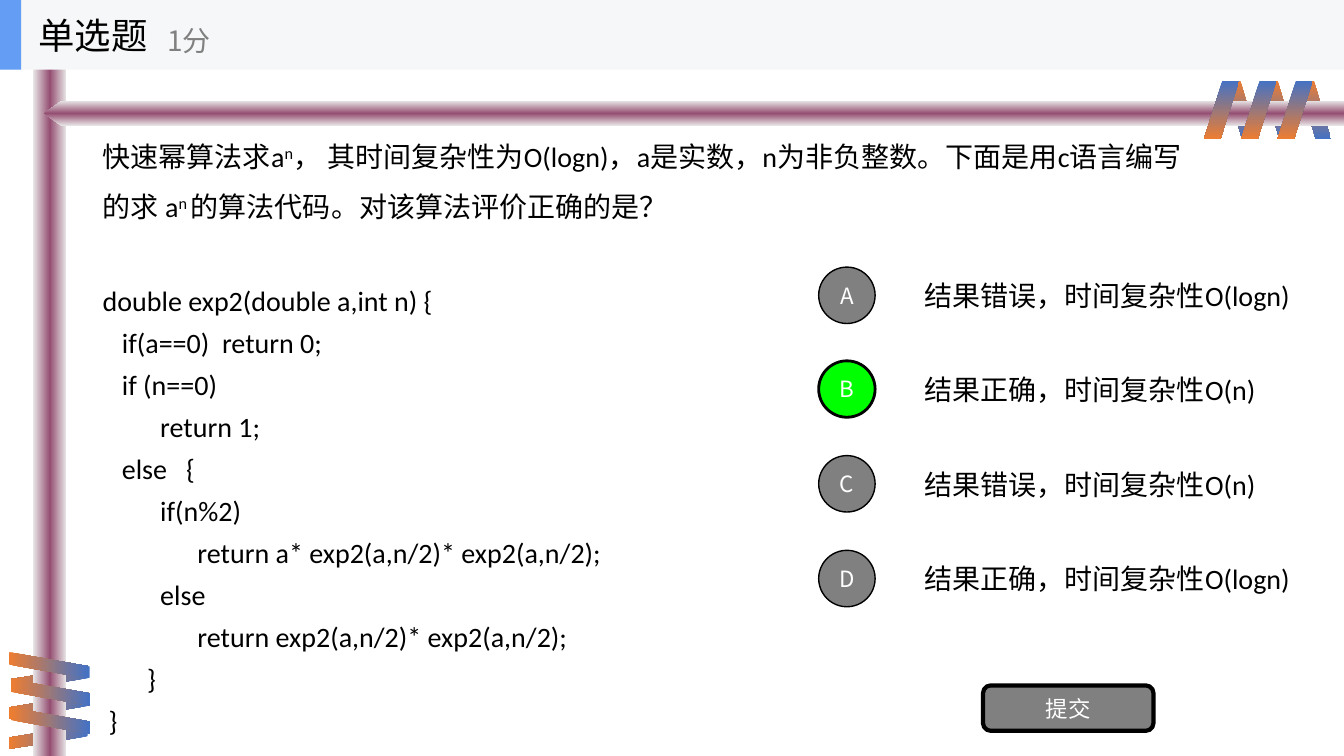
"""Build a single-choice quiz slide about the complexity of fast exponentiation."""
from pptx import Presentation
from pptx.dml.color import RGBColor
from pptx.enum.shapes import MSO_SHAPE
from pptx.enum.text import MSO_ANCHOR, MSO_AUTO_SIZE, PP_ALIGN
from pptx.oxml import parse_xml
from pptx.oxml.ns import nsdecls, qn
from pptx.util import Pt
from lxml.etree import SubElement

PX = 9144
COLORS = {
    "black": "000000", "white": "FFFFFF", "gray": "808080", "green": "00FF00",
    "blue": "4472C4", "orange": "ED7D31", "silver": "E7E6E6", "plum": "954F72",
    "header": "F6F7F8", "accent": "639EF4",
}
CJK_FONT = "Noto Sans CJK SC"
TEXT_FONT = "Calibri"


def add_block(kind, box, colors, angle=0, rotation=0, flip=False, adjustment=None):
    shape = slide.shapes.add_shape(kind, *[length * PX for length in box])
    shape.shadow.inherit = False
    shape.line.fill.background()
    shape.rotation = rotation
    if flip:
        shape._element.spPr.find(qn("a:xfrm")).set("flipH", "1")
    if adjustment is not None:
        shape.adjustments[0] = adjustment
    if len(colors) == 1:
        shape.fill.solid()
        shape.fill.fore_color.rgb = RGBColor.from_string(COLORS[colors[0]])
    else:
        stops = "".join(
            f'<a:gs pos="{100000 * index // (len(colors) - 1)}"><a:srgbClr val="{COLORS[name]}"/></a:gs>'
            for index, name in enumerate(colors))
        gradient = parse_xml(
            f'<a:gradFill {nsdecls("a")} rotWithShape="0"><a:gsLst>{stops}</a:gsLst>'
            f'<a:lin ang="{angle * 60000}" scaled="0"/></a:gradFill>')
        shape._element.spPr.find(qn("a:prstGeom")).addnext(gradient)
    return shape


def format_text(shape, size, font, color, alignment=PP_ALIGN.LEFT):
    frame = shape.text_frame
    frame.word_wrap = True
    frame.auto_size = MSO_AUTO_SIZE.NONE
    frame.vertical_anchor = MSO_ANCHOR.MIDDLE
    for paragraph in frame.paragraphs:
        paragraph.alignment = alignment
        for run in paragraph.runs:
            run.font.size = Pt(size)
            run.font.name = font
            run.font.color.rgb = RGBColor.from_string(COLORS[color])
            SubElement(run.font._element, qn("a:ea")).set("typeface", CJK_FONT)


presentation = Presentation()
presentation.slide_width = 1333 * PX
presentation.slide_height = 750 * PX
slide = presentation.slides.add_slide(presentation.slide_layouts[5])

RAIL = ("silver", "plum", "silver")
WARM, COOL = ("orange", "blue"), ("blue", "orange")
COIL = MSO_SHAPE.PARALLELOGRAM
for left, top in ((38, 634), (36, 662), (36, 692)):
    add_block(COIL, (left, top, 24, 78), COOL, 0, 90, True, 0.53)
add_block(MSO_SHAPE.RECTANGLE, (33, 0, 33, 750), RAIL)
for left, top in ((35, 621), (37, 648), (37, 676)):
    add_block(COIL, (left, top, 26, 78), WARM, 0, 270, False, 0.53)
for left in (1288, 1252, 1215):
    add_block(COIL, (left, 80, 32, 58), WARM, 90, 180, True, 0.53)
add_block(MSO_SHAPE.PENTAGON, (44, 100, 1289, 25), RAIL, 90, 0, True, 0.678)
for left in (1267, 1231, 1194):
    add_block(COIL, (left, 80, 35, 58), COOL, 90, 0, False, 0.53)

question = slide.shapes.add_textbox(92 * PX, 115 * PX, 1108 * PX, 623 * PX)
prompt = question.text_frame.paragraphs[0]
prompt.line_spacing = 1.5
prompt_parts = [
    ("快速幂算法求a", False), ("n", True),
    ("， 其时间复杂性为O(logn)，a是实数，n为非负整数。下面是用c语言编写的求 a", False),
    ("n ", True), ("的算法代码。对该算法评价正确的是？", False),
]
for text, raised in prompt_parts:
    run = prompt.add_run()
    run.text = text
    if raised:
        run.font._element.set("baseline", "30000")

code_lines = [
    (0, "double exp2(double a,int n) {"),
    (19, "if(a==0)  return 0;"),
    (19, "if (n==0)"),
    (57, "return 1;"),
    (19, "else   {"),
    (57, "if(n%2)"),
    (94, "return a* exp2(a,n/2)* exp2(a,n/2);"),
    (57, "else"),
    (94, "return exp2(a,n/2)* exp2(a,n/2);"),
    (44, "}"),
    (6, "}"),
]
for indent, code in code_lines:
    paragraph = question.text_frame.add_paragraph()
    paragraph.text = code
    paragraph.line_spacing = 1.25
    paragraph._p.get_or_add_pPr().set("marL", str(indent * PX))
question.text_frame.paragraphs[1].space_before = Pt(37)
format_text(question, 20, TEXT_FONT, "black")

options = [
    ("A", "结果错误，时间复杂性O(logn)", "gray", 1),
    ("B", "结果正确，时间复杂性O(n)", "green", 2),
    ("C", "结果错误，时间复杂性O(n)", "gray", 1),
    ("D", "结果正确，时间复杂性O(logn)", "gray", 1),
]
buttons = []
for index, (letter, answer, color, line_width) in enumerate(options):
    offset = index * 281 // 3
    answer_box = slide.shapes.add_textbox(907 * PX, (258 + offset) * PX, 400 * PX, 70 * PX)
    answer_box.text_frame.text = answer
    format_text(answer_box, 20, TEXT_FONT, "black")
    circle = add_block(MSO_SHAPE.OVAL, (812, 265 + offset, 56, 56), (color,))
    buttons.append((circle, letter, line_width))
submit = add_block(MSO_SHAPE.ROUNDED_RECTANGLE, (975, 680, 169, 45), ("gray",))
buttons.append((submit, "提交", 3))
for button, label, line_width in buttons:
    button.line.color.rgb = RGBColor.from_string(COLORS["black"])
    button.line.width = Pt(line_width)
    button.text_frame.text = label
    format_text(button, 16, CJK_FONT, "white", PP_ALIGN.CENTER)

add_block(MSO_SHAPE.RECTANGLE, (0, 0, 1333, 69), ("header",))
add_block(MSO_SHAPE.RECTANGLE, (0, 0, 21, 69), ("accent",))
title = slide.shapes.title
title.left, title.top, title.width, title.height = 28 * PX, 0, 208 * PX, 69 * PX
title.text_frame.text = "单选题"
format_text(title, 26, CJK_FONT, "black")
slide.shapes._spTree.append(title._element)
points = slide.shapes.add_textbox(156 * PX, 12 * PX, 250 * PX, 56 * PX)
points.text_frame.text = "1分"
format_text(points, 20, CJK_FONT, "gray")

presentation.save("out.pptx")
